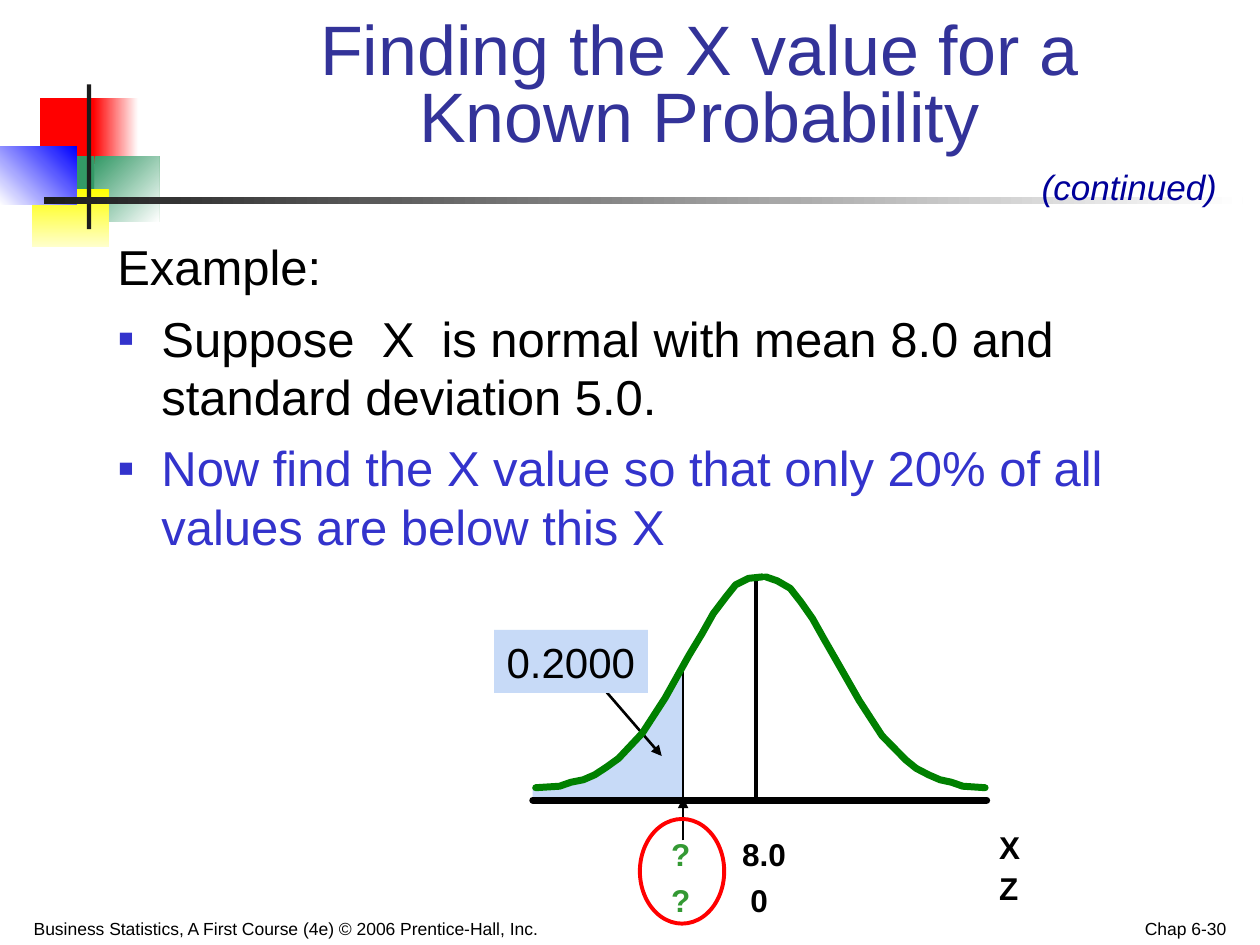
"""Build the slide on finding the X value for a known normal probability."""
from lxml.etree import SubElement
from pptx import Presentation
from pptx.dml.color import RGBColor
from pptx.enum.shapes import MSO_CONNECTOR, MSO_SHAPE
from pptx.enum.text import MSO_ANCHOR, MSO_AUTO_SIZE, PP_ALIGN
from pptx.oxml.ns import qn
from pptx.util import Cm, Pt

BLACK = RGBColor(0x00, 0x00, 0x00)
WHITE = RGBColor(0xFF, 0xFF, 0xFF)
INK = RGBColor(0x1C, 0x1C, 0x1C)
RED = RGBColor(0xFF, 0x00, 0x00)
TEAL = RGBColor(0x33, 0x99, 0x66)
YELLOW = RGBColor(0xFF, 0xFF, 0x00)
CREAM = RGBColor(0xFF, 0xFF, 0xCC)
BLUE = RGBColor(0x00, 0x00, 0xFF)
INDIGO = RGBColor(0x33, 0x33, 0x99)
VIOLET = RGBColor(0x33, 0x33, 0xCC)
NAVY = RGBColor(0x00, 0x00, 0x99)
GREEN = RGBColor(0x00, 0x80, 0x00)
LEAF = RGBColor(0x33, 0x99, 0x33)
PALE = RGBColor(0xC7, 0xDA, 0xF7)

TITLE = "Finding the X value for a Known Probability"
BODY = [
    ("Example:", BLACK, False),
    ("Suppose  X  is normal with mean 8.0 and standard deviation 5.0.", BLACK, True),
    ("Now find the X value so that only 20% of all values are below this X", VIOLET, True),
]
ORNAMENT = [
    ((0.81, 1.98, 1.22, 1.32), (RED,), 0),
    ((1.88, 1.98, 0.91, 1.32), (RED, WHITE), 0),
    ((1.91, 3.15, 1.3, 1.32), (TEAL, WHITE), 45),
    ((1.09, 3.15, 0.81, 1.32), (TEAL,), 0),
    ((0.64, 3.81, 1.55, 1.17), (YELLOW, CREAM), 90),
    ((0, 2.95, 1.55, 1.17), (WHITE, BLUE), 315),
    ((1.75, 1.7, 0.09, 2.92), (INK,), 0),
    ((0.89, 3.97, 24.16, 0.14), (INK, WHITE), 0),
]
TAIL_AREA = [
    (13.77, 16.1), (13.77, 13.46), (13.61, 13.74), (13.46, 14), (13.28, 14.27),
    (13.16, 14.48), (12.95, 14.76), (12.47, 15.27), (12.27, 15.42), (11.73, 15.7),
    (11.46, 15.8), (11.13, 15.85), (10.74, 15.88), (10.74, 16.1),
]
CURVE_HALVES = [
    [(19.86, 15.88), (19.41, 15.85), (19.18, 15.77), (18.95, 15.72), (18.72, 15.62),
     (18.47, 15.49), (18.26, 15.32), (17.78, 14.83), (17.32, 14.12), (16.84, 13.28),
     (16.61, 12.88), (16.38, 12.47), (16.15, 12.14), (15.93, 11.86), (15.67, 11.71),
     (15.44, 11.63)],
    [(10.8, 15.88), (11.28, 15.85), (11.51, 15.77), (11.76, 15.72), (11.99, 15.62),
     (12.22, 15.47), (12.47, 15.29), (12.95, 14.78), (13.41, 14.07), (13.89, 13.21),
     (14.15, 12.78), (14.38, 12.37), (14.63, 12.04), (14.83, 11.79), (15.09, 11.66),
     (15.37, 11.63)],
]
LINES = [
    ((13.77, 13.54), (13.77, 16.08), 1, False),
    ((12.07, 13.77), (13.34, 15.24), 1.5, True),
    ((15.24, 11.63), (15.24, 16.08), 2.5, False),
    ((10.74, 16.13), (19.89, 16.13), 4, False),
    ((13.77, 16.94), (13.77, 16.08), 1, True),
]
BOLD = {"size": Pt(18), "bold": True}
SMALL = {"size": Pt(10)}
LABELS = [
    ("X", (19.89, 16.56, 1.07, 1.02), BLACK, BOLD),
    ("Z", (19.89, 17.4, 1.07, 1.02), BLACK, BOLD),
    ("?", (13.28, 16.71, 0.89, 1.02), LEAF, BOLD),
    ("?", (13.28, 17.63, 0.89, 1.02), LEAF, BOLD),
    ("8.0", (14.71, 16.71, 1.4, 1.02), BLACK, BOLD),
    ("0", (14.88, 17.63, 0.87, 1.02), BLACK, BOLD),
]
NOTES = [
    ("Business Statistics, A First Course (4e) © 2006 Prentice-Hall, Inc.",
     (0.43, 18.16, 12.9, 0.89), BLACK, SMALL, PP_ALIGN.LEFT),
    ("Chap 6-30", (19.05, 18.16, 5.92, 0.89), BLACK, SMALL, PP_ALIGN.RIGHT),
    ("(continued)", (20.75, 3.18, 4.24, 1.12), NAVY,
     {"size": Pt(20), "italic": True}, PP_ALIGN.LEFT),
]


def place(sp, box):
    sp.left, sp.top, sp.width, sp.height = map(Cm, box)


def write(p, text, color, fmt):
    r = p.add_run()
    r.text = text
    r.font.name = "Arial"
    r.font.color.rgb = color
    for name, value in fmt.items():
        setattr(r.font, name, value)


def set_frame(tf, wrap, anchor):
    tf.auto_size = MSO_AUTO_SIZE.NONE
    tf.word_wrap = wrap
    tf.vertical_anchor = anchor


def add_label(s, text, box, color, fmt, align=PP_ALIGN.LEFT, wrap=False,
              anchor=MSO_ANCHOR.TOP):
    sp = s.shapes.add_textbox(*map(Cm, box))
    set_frame(sp.text_frame, wrap, anchor)
    p = sp.text_frame.paragraphs[0]
    p.alignment = align
    write(p, text, color, fmt)
    return sp


def set_bullet(p, bulleted):
    pPr = p._p.get_or_add_pPr()
    pPr.set("marL", str(Cm(0.89)))
    pPr.set("indent", str(-Cm(0.89)))
    if bulleted:
        SubElement(SubElement(pPr, qn("a:buClr")), qn("a:srgbClr"), val=str(VIOLET))
        SubElement(pPr, qn("a:buChar"), char="▪")
    else:
        SubElement(pPr, qn("a:buNone"))


def add_block(s, box, colors, angle):
    sp = s.shapes.add_shape(MSO_SHAPE.RECTANGLE, *map(Cm, box))
    sp.shadow.inherit = False
    sp.line.fill.background()
    if len(colors) == 1:
        sp.fill.solid()
        sp.fill.fore_color.rgb = colors[0]
        return
    sp.fill.gradient()
    sp.fill.gradient_angle = -angle % 360
    for stop, color, position in zip(sp.fill.gradient_stops, colors, (0, 1)):
        stop.color.rgb, stop.position = color, position


def add_outline(s, points, close):
    start, *rest = [(Cm(x), Cm(y)) for x, y in points]
    builder = s.shapes.build_freeform(*start)
    builder.add_line_segments(rest, close=close)
    sp = builder.convert_to_shape()
    sp.shadow.inherit = False
    return sp


def add_line(s, start, end, width, arrow):
    sp = s.shapes.add_connector(MSO_CONNECTOR.STRAIGHT, *map(Cm, start + end))
    sp.line.color.rgb, sp.line.width = BLACK, Pt(width)
    ln = sp.line._get_or_add_ln()
    if arrow:
        SubElement(ln, qn("a:tailEnd"), type="triangle")
    elif width == 4:
        ln.set("cap", "rnd")
    SubElement(sp._element.spPr, qn("a:effectLst"))


def main():
    prs = Presentation()
    prs.slide_width, prs.slide_height = Cm(25.4), Cm(19.05)
    s = prs.slides.add_slide(prs.slide_layouts[1])
    title, body = s.shapes.title, s.placeholders[1]

    place(title, (4.9, 0.89, 18.39, 2.39))
    set_frame(title.text_frame, True, MSO_ANCHOR.BOTTOM)
    p = title.text_frame.paragraphs[0]
    p.alignment, p.line_spacing = PP_ALIGN.CENTER, 0.8
    write(p, TITLE, INDIGO, {"size": Pt(40)})

    place(body, (2.11, 4.65, 22.43, 12.6))
    tf = body.text_frame
    set_frame(tf, True, MSO_ANCHOR.TOP)
    for i, (text, color, bulleted) in enumerate(BODY):
        p = tf.add_paragraph() if i else tf.paragraphs[0]
        set_bullet(p, bulleted)
        p.space_before = Pt(7 if i else 0)
        write(p, text, color, {"size": Pt(28)})

    for block in ORNAMENT:
        add_block(s, *block)
    area = add_outline(s, TAIL_AREA, True)
    area.fill.solid()
    area.fill.fore_color.rgb = PALE
    area.line.fill.background()
    for line in LINES:
        add_line(s, *line)
    for points in CURVE_HALVES:
        half = add_outline(s, points, False)
        half.fill.background()
        half.line.color.rgb, half.line.width = GREEN, Pt(4)
        half.line._get_or_add_ln().set("cap", "rnd")

    sp = add_label(s, "0.2000", (9.96, 12.7, 3.1, 1.27), BLACK, {"size": Pt(24)},
                   PP_ALIGN.CENTER)
    sp.fill.solid()
    sp.fill.fore_color.rgb = PALE
    for label in LABELS:
        add_label(s, *label)
    for note in NOTES:
        add_label(s, *note, wrap=True, anchor=MSO_ANCHOR.BOTTOM)
    ring = s.shapes.add_shape(MSO_SHAPE.OVAL, *map(Cm, (12.9, 16.51, 1.7, 2.11)))
    ring.shadow.inherit = False
    ring.fill.background()
    ring.line.color.rgb, ring.line.width = RED, Pt(2.25)
    prs.save("out.pptx")


if __name__ == "__main__":
    main()
